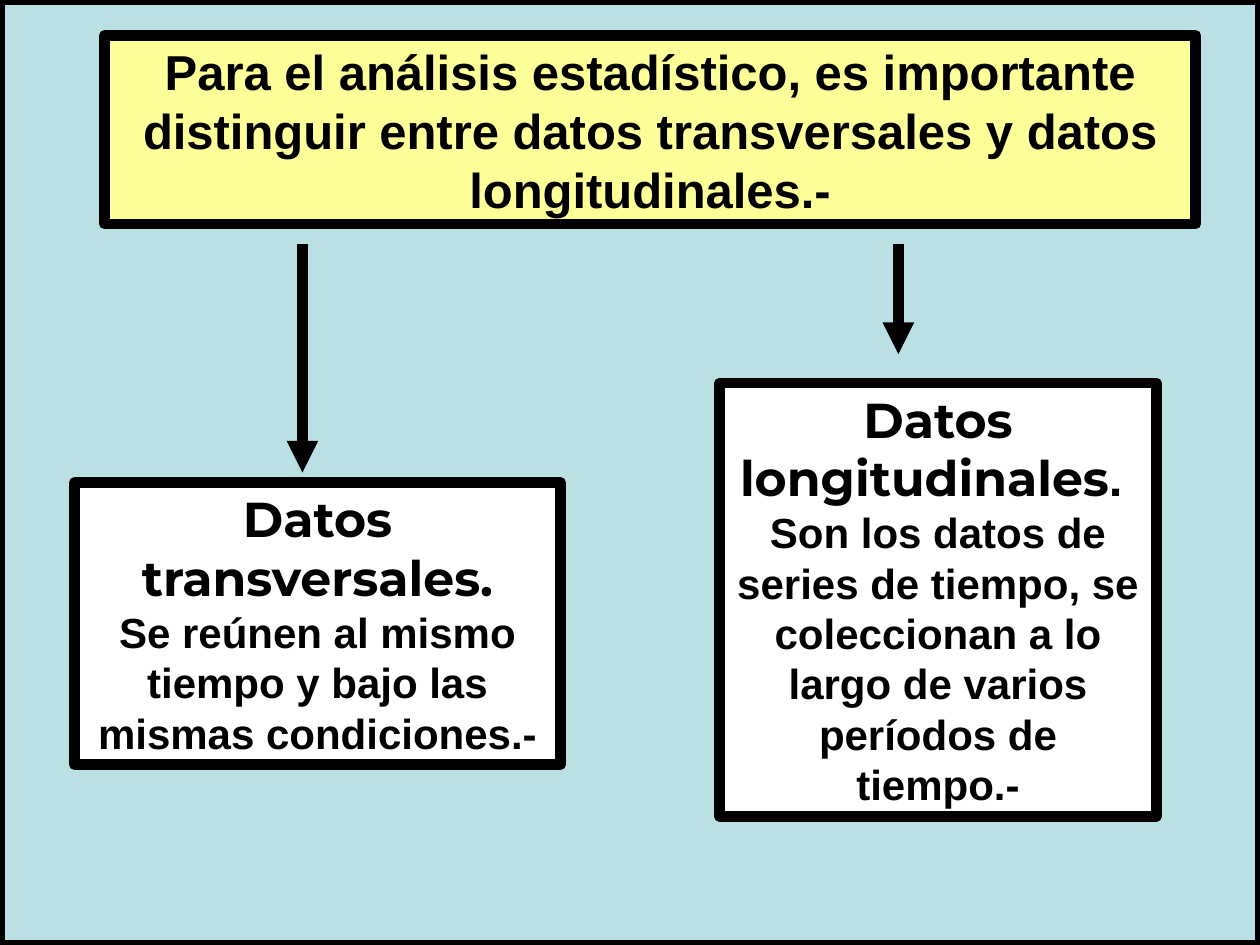
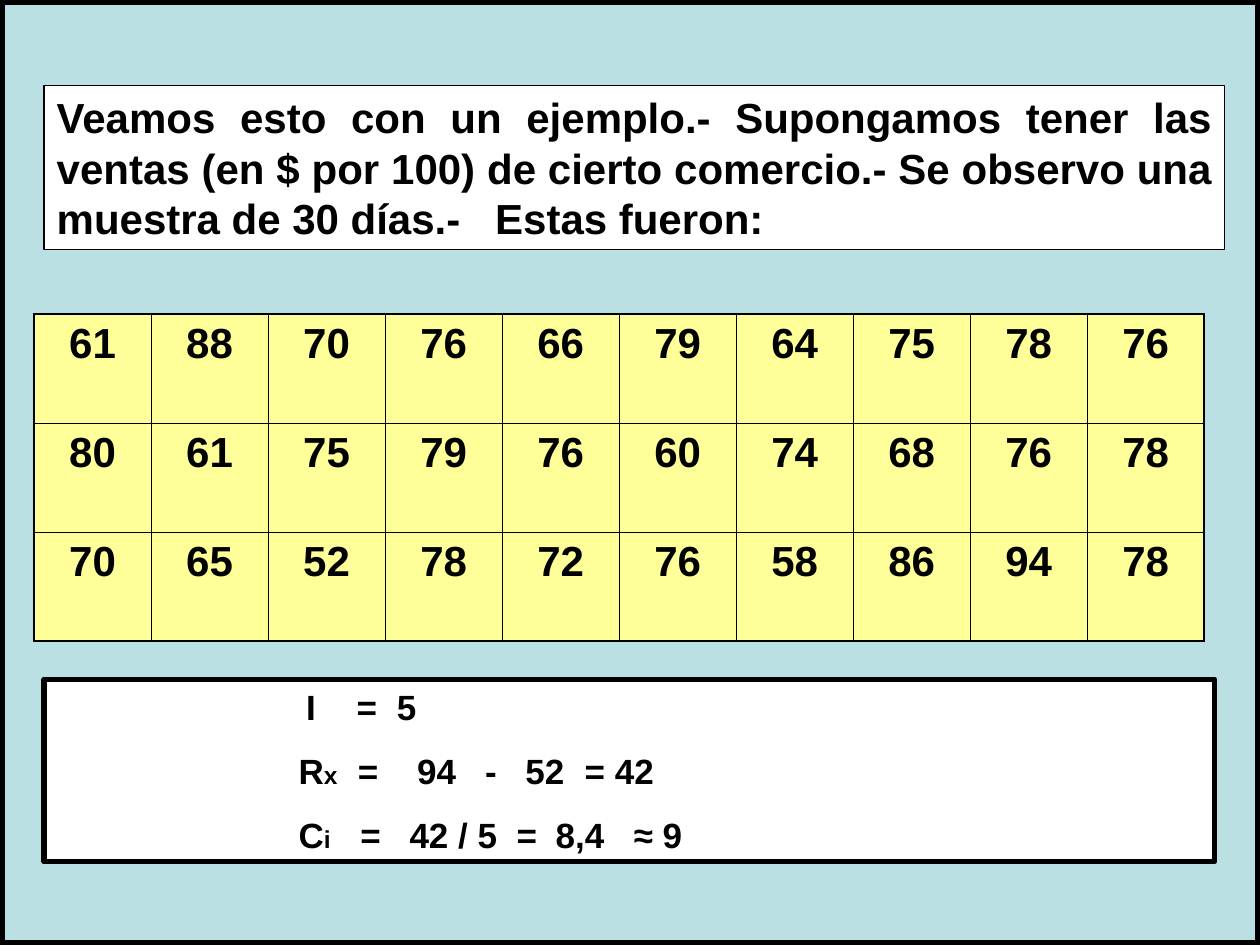
from lxml.etree import SubElement
from pptx import Presentation
from pptx.dml.color import RGBColor
from pptx.enum.shapes import MSO_CONNECTOR, MSO_SHAPE
from pptx.enum.text import MSO_ANCHOR, MSO_AUTO_SIZE, PP_ALIGN
from pptx.oxml import parse_xml
from pptx.oxml.ns import nsdecls, qn
from pptx.util import Inches, Pt

BLACK = RGBColor(0x00, 0x00, 0x00)
WHITE = RGBColor(0xFF, 0xFF, 0xFF)
AQUA = RGBColor(0xBB, 0xE0, 0xE3)
CREAM = RGBColor(0xFF, 0xFF, 0x99)
SANS, HEAD = "Arial", "Montserrat"

deck = Presentation()
deck.slide_width, deck.slide_height = Inches(10), Inches(7.5)
COL, ROW = deck.slide_width / 100, deck.slide_height / 75


def style(shape, spot, fill, line):
    left, top, width, height = spot
    shape.left, shape.top = int(left * COL), int(top * ROW)
    shape.width, shape.height = int(width * COL), int(height * ROW)
    shape.fill.solid()
    shape.fill.fore_color.rgb = fill
    shape.line.color.rgb = BLACK
    shape.line.width = Pt(line)
    frame = shape.text_frame
    frame.auto_size = MSO_AUTO_SIZE.NONE
    frame.word_wrap = True
    frame.vertical_anchor = MSO_ANCHOR.TOP
    frame.margin_left = frame.margin_right = int(COL)
    frame.margin_top = frame.margin_bottom = int(ROW / 2)
    return frame


def write(frame, lines, align, gap=0, tabs=()):
    for place, (stops, runs) in enumerate(lines):
        para = frame.add_paragraph() if place else frame.paragraphs[0]
        para.alignment = align
        para.space_before = Pt(gap if place else 0)
        para.line_spacing = Pt(round(runs[0][1] * 1.2, 1))
        if stops:
            tabs = SubElement(para._p.get_or_add_pPr(), qn("a:tabLst"))
            for stop in stops:
                SubElement(tabs, qn("a:tab"), pos=str(int(stop * COL)), algn="l")
        for words, size, face in runs:
            run = para.add_run()
            run.text = words
            run.font.size, run.font.name = Pt(size), face
            run.font.bold = True
            run.font.color.rgb = BLACK


heads = [
    ((8.3, 2.8, 86.6, 15), CREAM, 6, PP_ALIGN.CENTER, [], 28,
     "Para el análisis estadístico, es importante distinguir entre "
     "datos transversales y datos longitudinales.-"),
    ((3.5, 6.8, 93.7, 13), WHITE, 0.75, PP_ALIGN.JUSTIFY, [34.8], 24,
     "Veamos esto con un ejemplo.- Supongamos tener las ventas (en $ por 100) "
     "de cierto comercio.- Se observo una muestra de 30 días.-\tEstas fueron:"),
]
slides = []
for spot, fill, line, align, stops, size, words in heads:
    slide = deck.slides.add_slide(deck.slide_layouts[5])
    back = slide.shapes.add_shape(MSO_SHAPE.RECTANGLE, 0, 0, 0, 0)
    back.shadow.inherit = False
    style(back, (0, 0, 100, 75), AQUA, 6)
    title = slide.shapes.title
    back._element.addnext(title._element)
    frame = style(title, spot, fill, line)
    write(frame, [(stops, [(words, size, SANS)])], align)
    slides.append(slide)
first, second = slides

cards = [
    ((5.9, 38.3, 38.6, 22.4), [("Datos transversales.", 28, HEAD)],
     "Se reúnen al mismo tiempo y bajo las mismas condiciones.-"),
    ((57.1, 30.4, 34.7, 34.4), [("Datos longitudinales", 28, HEAD), (". ", 28, SANS)],
     "Son los datos de series de tiempo, se coleccionan a lo largo "
     "de varios períodos de tiempo.-"),
]
for spot, name, words in cards:
    card = first.shapes.add_shape(MSO_SHAPE.RECTANGLE, 0, 0, 0, 0)
    card.shadow.inherit = False
    frame = style(card, spot, WHITE, 6)
    write(frame, [([], name), ([], [(words, 24, SANS)])], PP_ALIGN.CENTER)

for across, end in [(24, 37.5), (71.3, 28.1)]:
    arrow = first.shapes.add_connector(
        MSO_CONNECTOR.STRAIGHT,
        int(across * COL), int(19.4 * ROW), int(across * COL), int(end * ROW))
    arrow.line.color.rgb = BLACK
    arrow.line.width = Pt(6)
    SubElement(arrow.line._get_or_add_ln(), qn("a:tailEnd"), type="triangle")
    SubElement(arrow._element.spPr, qn("a:effectLst"))

sales = [
    [61, 88, 70, 76, 66, 79, 64, 75, 78, 76],
    [80, 61, 75, 79, 76, 60, 74, 68, 76, 78],
    [70, 65, 52, 78, 72, 76, 58, 86, 94, 78],
]
deep, wide = len(sales), len(sales[0])
grid = second.shapes.add_table(
    deep, wide, int(2.7 * COL), int(24.9 * ROW), int(92.9 * COL), int(26 * ROW)).table
grid.first_row = grid.horz_banding = False
for down, days in enumerate(sales):
    for across, sale in enumerate(days):
        cell = grid.cell(down, across)
        edges = [("L", across == 0), ("R", across == wide - 1),
                 ("T", down == 0), ("B", down == deep - 1)]
        for side, outer in edges:
            cell._tc.get_or_add_tcPr().append(parse_xml(
                f'<a:ln{side} {nsdecls("a")} w="{Pt(1.08 if outer else 0.45)}">'
                f'<a:solidFill><a:srgbClr val="{BLACK}"/></a:solidFill></a:ln{side}>'))
        cell.fill.solid()
        cell.fill.fore_color.rgb = CREAM
        para = cell.text_frame.paragraphs[0]
        para.alignment = PP_ALIGN.CENTER
        run = para.add_run()
        run.text = str(sale)
        run.font.size, run.font.name = Pt(24), SANS
        run.font.bold = True
        run.font.color.rgb = BLACK

sums = [
    ([0.6, 4.6, 7.8], [("\tI\t=\t5", 20, SANS)]),
    ([4.7, 9.4, 14.8, 18, 22.7],
     [("R", 20, SANS), ("x", 14, SANS), ("\t=\t94\t-\t52\t= 42", 20, SANS)]),
    ([4.9, 8.8, 17.3, 20.4, 26.6],
     [("C", 20, SANS), ("i", 14, SANS), ("\t=\t42 / 5\t=\t8,4\t≈ 9", 20, SANS)]),
]
panel = second.shapes.add_shape(MSO_SHAPE.RECTANGLE, 0, 0, 0, 0)
panel.shadow.inherit = False
frame = style(panel, (3.5, 53.9, 92.9, 14.5), WHITE, 3)
frame.margin_left = int(20.2 * COL)
write(frame, sums, PP_ALIGN.LEFT, 12.5)

deck.save("out.pptx")
